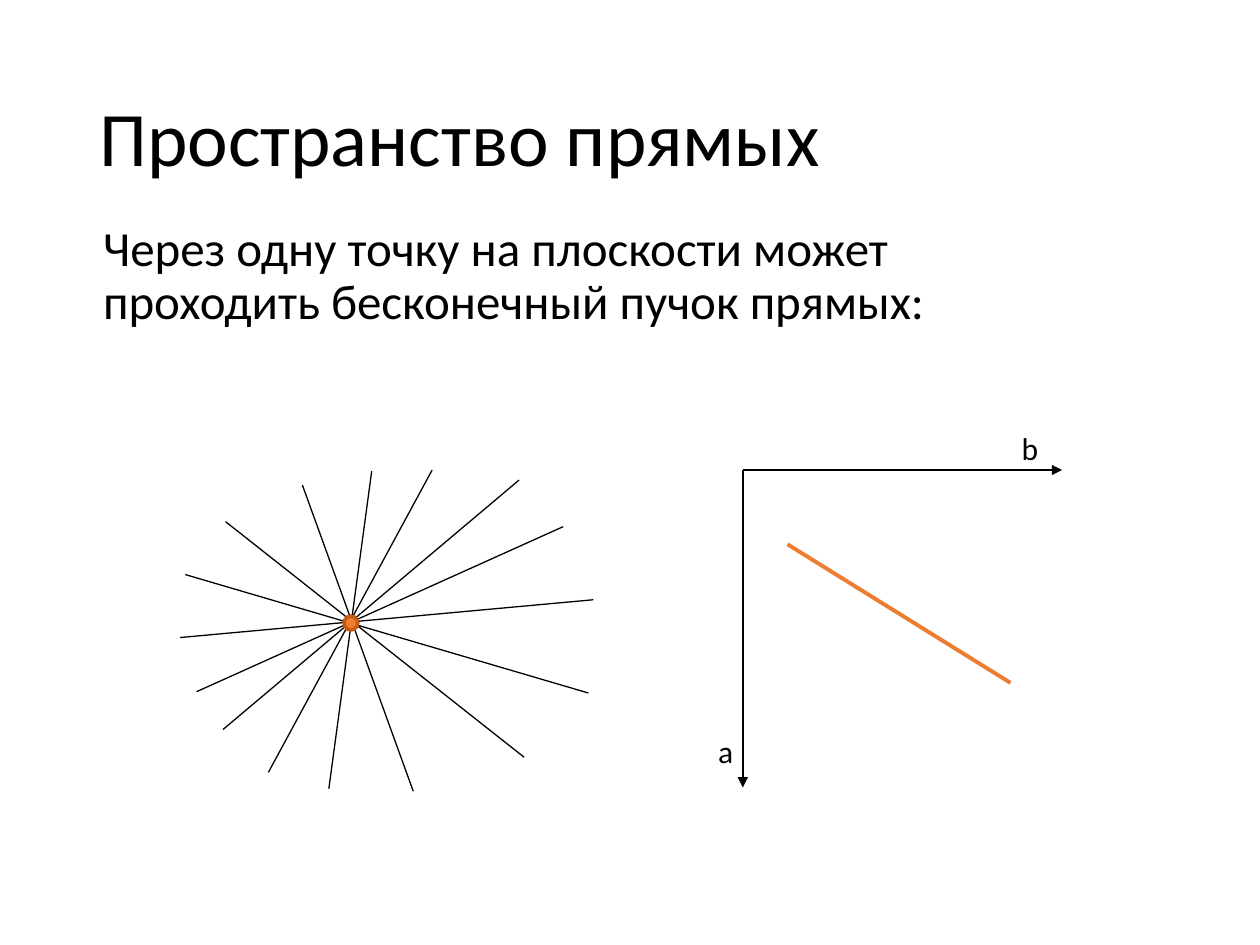
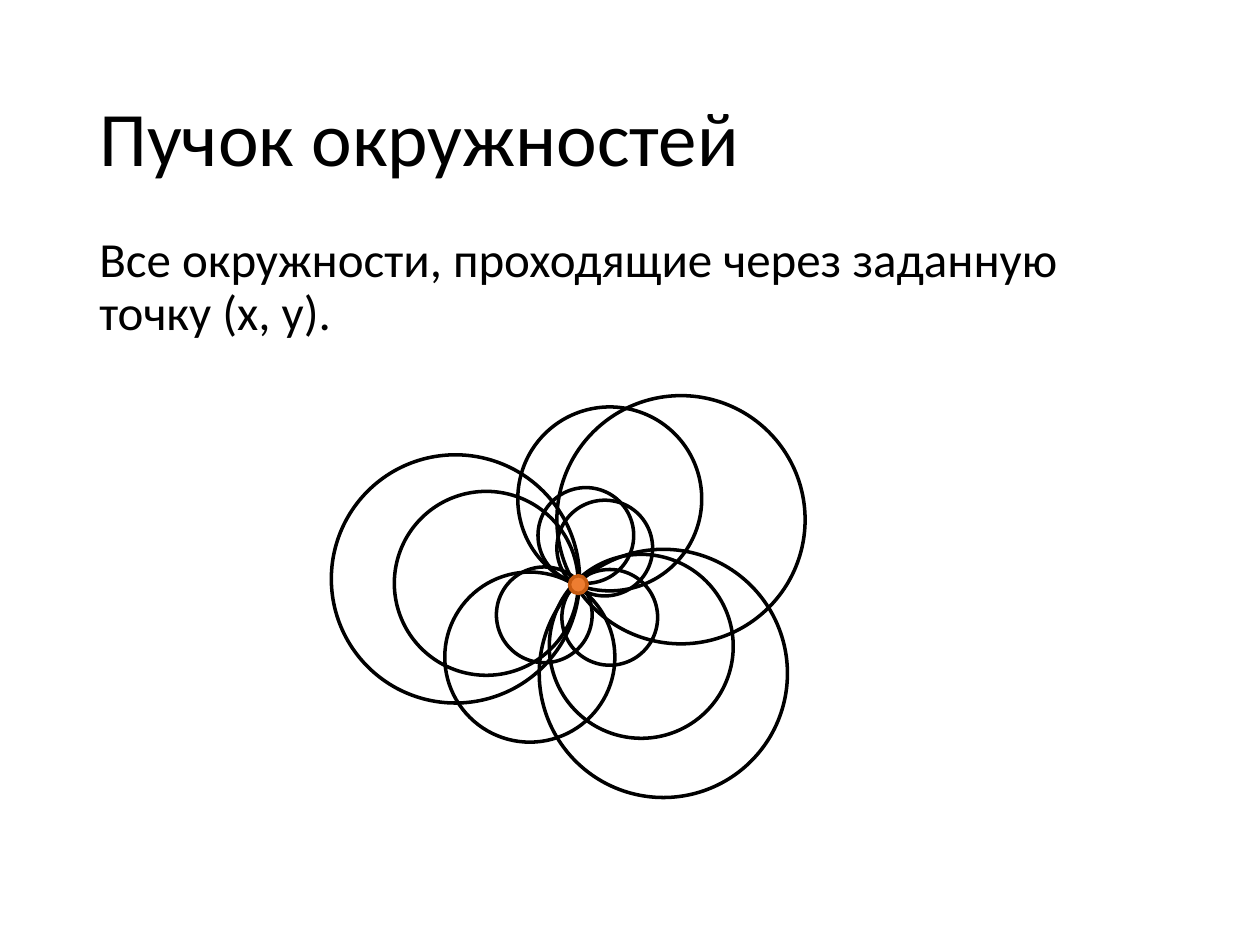
from lxml.etree import SubElement
from pptx import Presentation
from pptx.dml.color import RGBColor
from pptx.enum.shapes import MSO_CONNECTOR as Connector, MSO_SHAPE as Shape
from pptx.enum.text import MSO_ANCHOR as Anchor, MSO_AUTO_SIZE as AutoSize
from pptx.oxml.ns import qn
from pptx.util import Inches, Pt

BLACK = RGBColor(0x00, 0x00, 0x00)
WHITE = RGBColor(0xFF, 0xFF, 0xFF)
ORANGE = RGBColor(0xED, 0x7D, 0x31)
RUST = RGBColor(0xC5, 0x5A, 0x11)
FONT = "Calibri"
COLUMNS = 100

TITLE_AREA = (6.9, 4, 86.2, 14.5)
STATEMENT_SIZE = (79.7, 48.2)

LINES_TITLE = "Пространство прямых"
LINES_STATEMENT = "Через одну точку на плоскости может проходить бесконечный пучок прямых:"
PENCIL_OF_LINES = [
    ((17.7, 57.9), (41.2, 38.1)),
    ((17.9, 41.4), (41.6, 60.1)),
    ((14.3, 50.6), (47.1, 47.6)),
    ((29.5, 37.4), (26.1, 62.6)),
    ((24, 38.5), (32.8, 62.8)),
    ((14.7, 45.6), (46.7, 55)),
    ((34.3, 37.3), (21.3, 61.3)),
    ((15.6, 54.9), (44.7, 41.8)),
]
LINES_POINT = (27.85, 49.45, 1.1)
AXES_ORIGIN = (58.95, 37.3)
AXES = [
    ("a", (58.95, 62.5), (56, 57.6)),
    ("b", (84.3, 37.3), (80.1, 33.6)),
]
LABEL_SIZE = (3.5, 4)
DUAL_LINE = ((62.5, 43.2), (80.2, 54.2))

CIRCLES_TITLE = "Пучок окружностей"
CIRCLES_STATEMENT = "Все окружности, проходящие через заданную точку (x, y)."
CENTRES_BY_DIAMETER = {
    14.6: [(48.4, 39.6), (38.6, 46.3), (50.9, 51.3)],
    19.7: [(36.15, 45.95), (54.05, 41.25), (52.65, 53.45)],
    7.6: [(43.2, 48.8), (48, 43.5), (48.4, 49), (46.5, 42.5)],
    13.5: [(42.05, 52.15)],
}
CIRCLES_POINT = (45.9, 46.4, 1.4)

deck = Presentation()
deck.slide_width, deck.slide_height = Inches(10), Inches(7.5)


def grid(*lengths):
    return [round(deck.slide_width * length / COLUMNS) for length in lengths]


def write(slide, text, area, size, anchor=Anchor.TOP, spacing=None, before=0, wrap=True):
    frame = slide.shapes.add_textbox(*grid(*area)).text_frame
    frame.word_wrap = wrap
    frame.auto_size = AutoSize.NONE if wrap else AutoSize.SHAPE_TO_FIT_TEXT
    frame.vertical_anchor = anchor
    paragraph = frame.paragraphs[0]
    paragraph.line_spacing = spacing
    paragraph.space_before = Pt(before)
    run = paragraph.add_run()
    run.text = text
    run.font.name, run.font.size = FONT, Pt(size)
    run.font.color.rgb = BLACK


def draw_line(slide, start, end, color=BLACK, width=0.75, arrow=False):
    line = slide.shapes.add_connector(Connector.STRAIGHT, *grid(*start, *end))
    line.line.color.rgb = color
    line.line.width = Pt(width)
    if arrow:
        SubElement(line.line._get_or_add_ln(), qn("a:tailEnd"), type="triangle")
    SubElement(line._element.spPr, qn("a:effectLst"))


def draw_circle(slide, x, y, diameter, fill=None, color=BLACK):
    radius = diameter / 2
    circle = slide.shapes.add_shape(
        Shape.OVAL, *grid(x - radius, y - radius, diameter, diameter))
    circle.shadow.inherit = False
    if fill is None:
        circle.fill.background()
    else:
        circle.fill.solid()
        circle.fill.fore_color.rgb = fill
    circle.line.color.rgb = color
    circle.line.width = Pt(2)


def start_slide(title, statement, corner):
    slide = deck.slides.add_slide(deck.slide_layouts[6])
    slide.background.fill.solid()
    slide.background.fill.fore_color.rgb = WHITE
    write(slide, title, TITLE_AREA, 44, anchor=Anchor.MIDDLE, spacing=0.9)
    write(slide, statement, corner + STATEMENT_SIZE, 28, spacing=0.9, before=10)
    return slide


def build_lines_slide():
    slide = start_slide(LINES_TITLE, LINES_STATEMENT, (7.2, 17.3))
    for start, end in PENCIL_OF_LINES:
        draw_line(slide, start, end)
    draw_circle(slide, *LINES_POINT, fill=ORANGE, color=RUST)
    for label, tip, corner in AXES:
        draw_line(slide, AXES_ORIGIN, tip, width=1, arrow=True)
        write(slide, label, corner + LABEL_SIZE, 18, wrap=False)
    draw_line(slide, *DUAL_LINE, color=ORANGE, width=2.25)


def build_circles_slide():
    slide = start_slide(CIRCLES_TITLE, CIRCLES_STATEMENT, (6.9, 18.2))
    for diameter, centres in CENTRES_BY_DIAMETER.items():
        for x, y in centres:
            draw_circle(slide, x, y, diameter)
    draw_circle(slide, *CIRCLES_POINT, fill=ORANGE, color=RUST)


def main():
    build_lines_slide()
    build_circles_slide()
    deck.save("out.pptx")


if __name__ == "__main__":
    main()
